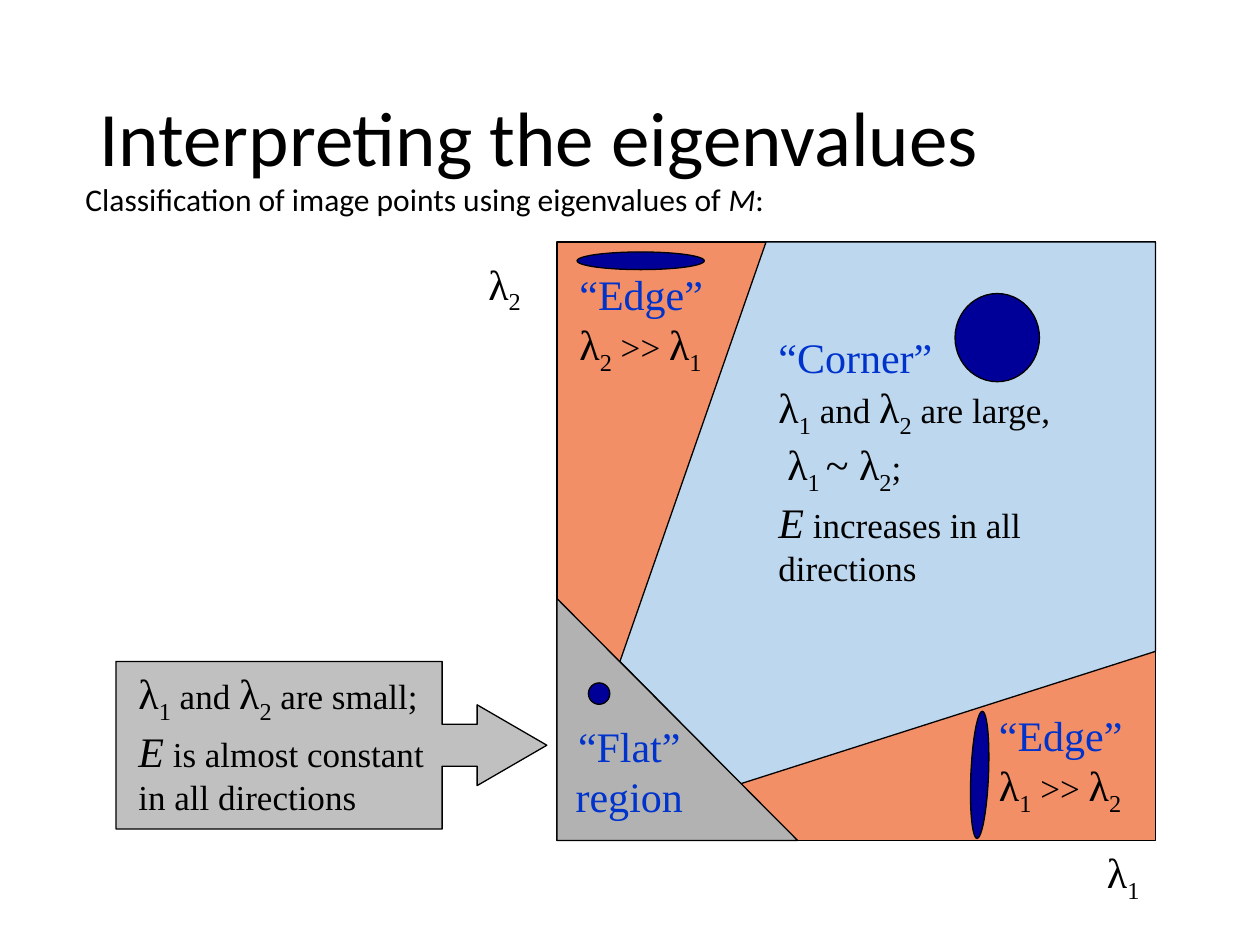
from pptx import Presentation
from pptx.dml.color import RGBColor
from pptx.enum.shapes import MSO_SHAPE
from pptx.enum.text import MSO_ANCHOR, MSO_AUTO_SIZE, PP_ALIGN
from pptx.util import Emu, Pt

PX = 9144
RECT, OVAL = MSO_SHAPE.RECTANGLE, MSO_SHAPE.OVAL
TRIANGLE, CALLOUT = MSO_SHAPE.RIGHT_TRIANGLE, MSO_SHAPE.RIGHT_ARROW_CALLOUT
LEFT, CENTER = PP_ALIGN.LEFT, PP_ALIGN.CENTER
TOP, MIDDLE = MSO_ANCHOR.TOP, MSO_ANCHOR.MIDDLE
NO_FIT = MSO_AUTO_SIZE.NONE

BLACK, BLUE, NAVY = "000000", "0033CC", "000099"
ORANGE, SKY, GRAY, SILVER = "F38F67", "BDD7EE", "B2B2B2", "C0C0C0"

SERIF = {"name": "Times New Roman", "size": Pt(24), "color": BLACK}
SMALL = {**SERIF, "size": Pt(20)}
SUB = {**SERIF, "baseline": "-25000"}
ITALIC = {**SERIF, "italic": True}
LABEL = {**SERIF, "color": BLUE}
HEAD = {"name": "Calibri", "size": Pt(44), "color": BLACK}
BODY = {**HEAD, "size": Pt(18)}
BREAK = ("\n", None)


def rgb(value):
    return RGBColor.from_string(value)


def box(*lengths):
    return [Emu(v * PX) for v in lengths]


def paint(sp, fill):
    sp.shadow.inherit = False
    sp.fill.solid()
    sp.fill.fore_color.rgb = rgb(fill)
    sp.line.color.rgb = rgb(BLACK)
    sp.line.width = Pt(0.75)


def add_shape(s, kind, at, fill, rotation=0, adjustments=()):
    sp = s.shapes.add_shape(kind, *box(*at))
    for i, value in enumerate(adjustments):
        sp.adjustments[i] = value
    sp.rotation = rotation
    paint(sp, fill)


def add_polygon(s, points, fill):
    builder = s.shapes.build_freeform(*points[0], scale=PX)
    builder.add_line_segments(points[1:], close=True)
    paint(builder.convert_to_shape(), fill)


def write(tf, runs, align=LEFT, anchor=TOP):
    tf.word_wrap, tf.auto_size, tf.vertical_anchor = True, NO_FIT, anchor
    p = tf.paragraphs[0]
    p.alignment = align
    for text, style in runs:
        if style is None:
            p.add_line_break()
            continue
        r = p.add_run()
        r.text = text
        for key, value in style.items():
            if key == "color":
                r.font.color.rgb = rgb(value)
            elif key == "baseline":
                r._r.get_or_add_rPr().set(key, value)
            else:
                setattr(r.font, key, value)
    return p


def add_text(s, at, runs, align=LEFT):
    write(s.shapes.add_textbox(*box(*at)).text_frame, runs, align)


def add_title(s, at, text):
    sp = s.shapes.title
    sp.left, sp.top, sp.width, sp.height = box(*at)
    write(sp.text_frame, [(text, HEAD)], anchor=MIDDLE).line_spacing = 0.9


def eigen(index):
    return [("λ", SERIF), (str(index), SUB)]


def add_edge_label(s, at, large, small):
    add_text(s, at, [("“Edge”", LABEL), BREAK, *eigen(large), (" >> ", SMALL), *eigen(small)])


def main():
    prs = Presentation()
    prs.slide_width, prs.slide_height = box(1000, 750)
    s = prs.slides.add_slide(prs.slide_layouts[5])

    add_shape(s, CALLOUT, (92, 525, 342, 133), SILVER,
              adjustments=(0.25, 0.241, 0.416, 0.757))
    add_title(s, (69, 40, 862, 145), "Interpreting the eigenvalues")
    add_shape(s, RECT, (442, 192, 475, 475), ORANGE)
    add_text(s, (850, 667, 83, 50), eigen(1), CENTER)
    add_text(s, (342, 200, 117, 50), eigen(2), CENTER)
    add_polygon(s, [(492, 525), (608, 192), (917, 192), (917, 517), (588, 622)], SKY)
    add_shape(s, TRIANGLE, (442, 475, 191, 192), GRAY)

    both = [*eigen(1), (" and ", SMALL), *eigen(2)]
    add_text(s, (608, 258, 292, 203), [
        ("“Corner”", LABEL), BREAK,
        *both, (" are large,", SMALL), BREAK,
        (" ", SMALL), *eigen(1), (" ", SUB), ("~ ", SERIF), *eigen(2), (";", SMALL), BREAK,
        ("E", ITALIC), (" increases in all directions", SMALL)])
    add_text(s, (100, 525, 258, 123), [
        *both, (" are small;", SMALL), BREAK,
        ("E", ITALIC), (" is almost constant in all directions", SMALL)])
    add_edge_label(s, (783, 558, 142, 90), 1, 2)
    add_edge_label(s, (450, 208, 142, 90), 2, 1)
    add_text(s, (433, 567, 133, 90), [("“Flat” region", LABEL)], CENTER)
    add_text(s, (58, 138, 875, 103), [
        ("Classification of image points using eigenvalues of ", BODY),
        ("M", {**BODY, "italic": True}), (":", BODY)])

    for at, rotation in [((758, 233, 67, 70), 0), ((458, 200, 101, 14), 0),
                         ((467, 542, 17, 17), 0), ((727, 608, 101, 14), 92.4)]:
        add_shape(s, OVAL, at, NAVY, rotation)

    prs.save("out.pptx")


if __name__ == "__main__":
    main()
